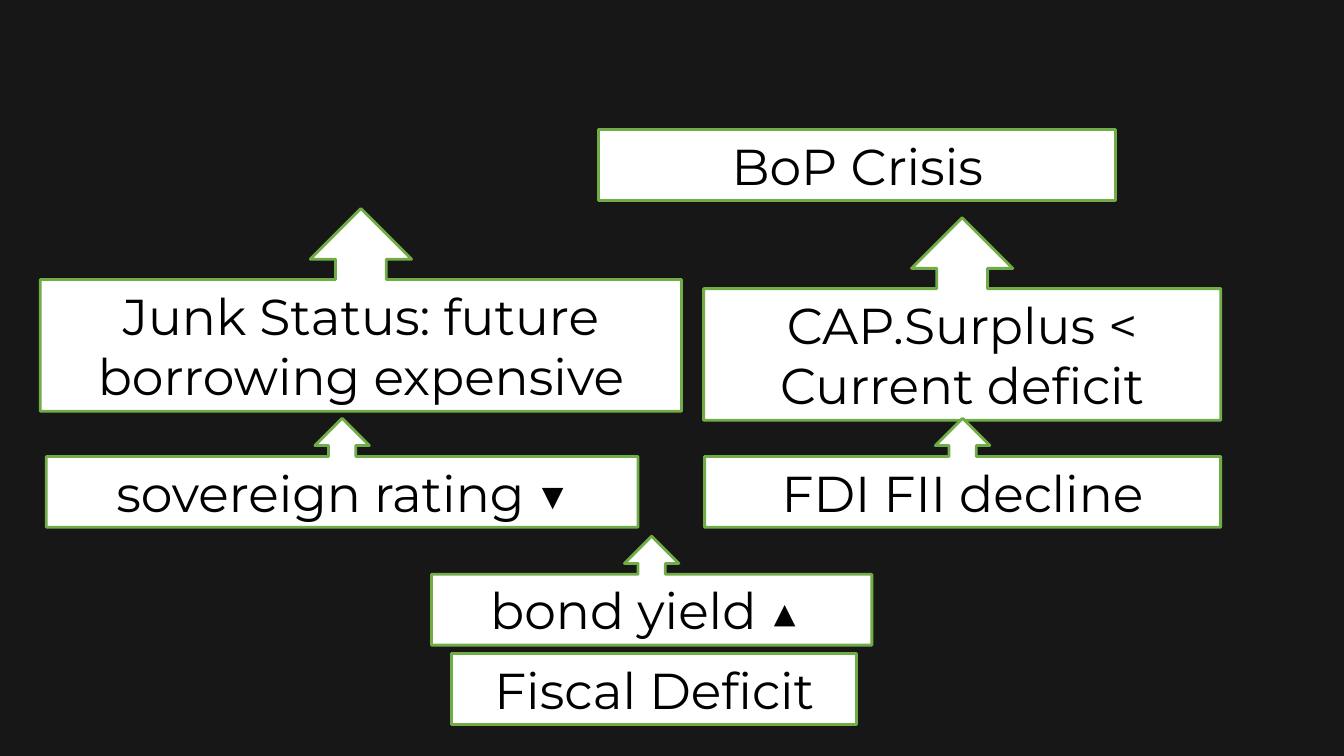
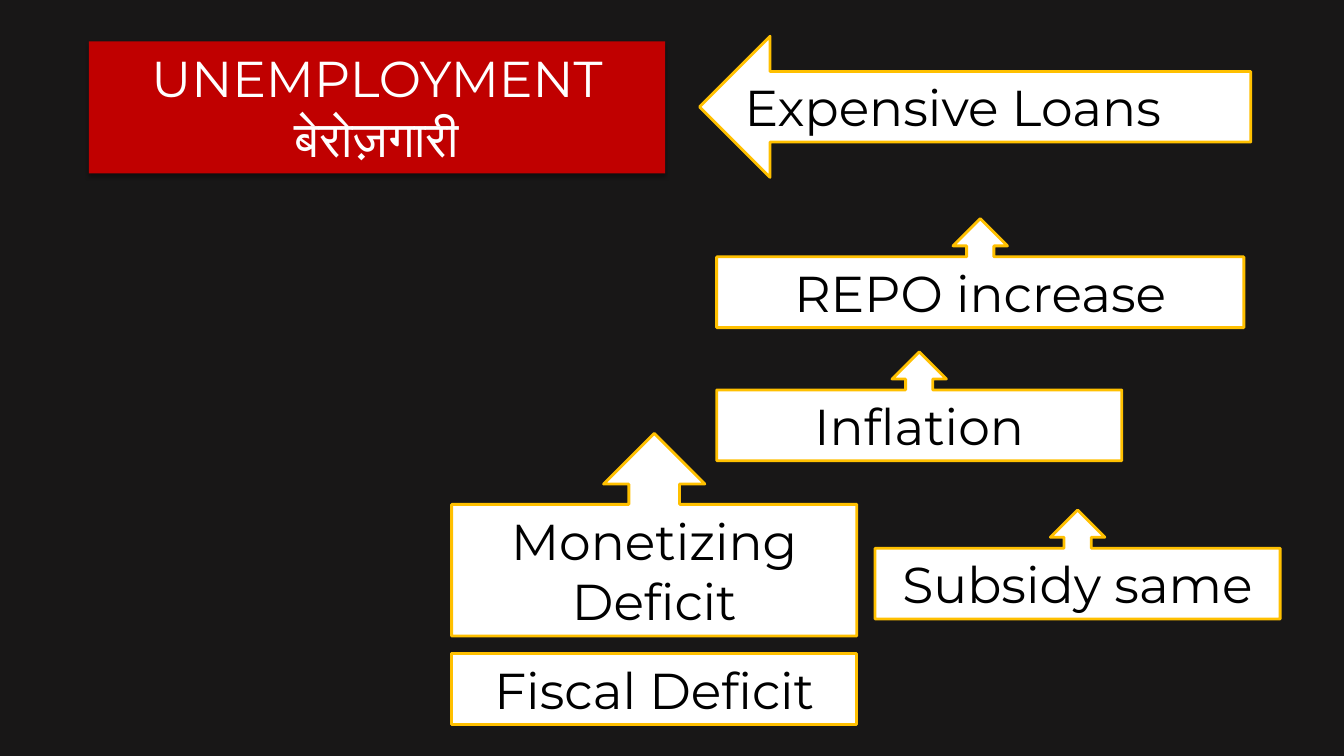
from dataclasses import dataclass

from lxml.etree import SubElement
from pptx import Presentation
from pptx.dml.color import RGBColor
from pptx.enum.shapes import MSO_SHAPE
from pptx.enum.text import MSO_ANCHOR, MSO_AUTO_SIZE, PP_ALIGN
from pptx.oxml.ns import qn
from pptx.shapes.autoshape import Shape
from pptx.util import Pt

COLORS = {
    "back": "181717",
    "white": "FFFFFF",
    "black": "000000",
    "green": "70AD47",
    "gold": "FFC000",
    "red": "C00000",
}
FONT = "Montserrat"
SIZE = 36
BAR, STEP, TALL = 51.1, 77.8, 144.7
BASE = 322.6
WIDTH = 289.4
RECT = MSO_SHAPE.RECTANGLE
CALL = MSO_SHAPE.UP_ARROW_CALLOUT
LEFT = MSO_SHAPE.LEFT_ARROW


@dataclass(frozen=True)
class Box:
    text: str
    left: float
    top: float
    width: float
    height: float
    form: MSO_SHAPE = CALL
    fill: str = "white"
    ink: str = "black"
    align: PP_ALIGN = PP_ALIGN.CENTER
    raised: bool = False


FISCAL = Box("Fiscal Deficit", BASE, 466.6, WIDTH, BAR, RECT)

CRISIS = [
    Box("CAP.Surplus < Current deficit", 502.6, 155.5, 369.4, TALL),
    FISCAL,
    Box("Junk Status: future borrowing expensive", 28.8, 149, 458, TALL),
    Box("FDI FII decline", 503.3, 298.8, 368.6, STEP),
    Box("sovereign rating ▼", 33.1, 298.8, 422.6, STEP),
    Box("bond yield ▲ ", 308.2, 383, 314.6, STEP),
    Box("BoP Crisis", 427.7, 92.2, 369.4, BAR, RECT),
]

JOBS = [
    FISCAL,
    Box("Subsidy same", 625, 364.3, WIDTH, STEP),
    Box("Inflation", 511.9, 251.3, WIDTH, STEP),
    Box("Monetizing Deficit", BASE, 309.6, WIDTH, TALL),
    Box("REPO increase", 511.9, 156.2, 376.6, STEP),
    Box("Expensive Loans", 499.7, 25.9, 393.8, 100.8, LEFT, align=PP_ALIGN.LEFT),
    Box("UNEMPLOYMENT\nबेरोज़गारी", 63.4, 29.5, 411.8, 94.3, RECT,
        "red", "white", raised=True),
]


def color(name: str) -> RGBColor:
    return RGBColor.from_string(COLORS[name])


def shade(shape: Shape) -> None:
    effects = shape._element.spPr.find(qn("a:effectLst"))
    outer = SubElement(effects, qn("a:outerShdw"), blurRad=str(Pt(3.1)),
                       dist=str(Pt(1.8)), dir="5400000", rotWithShape="0")
    tone = SubElement(outer, qn("a:srgbClr"), val=COLORS["black"])
    SubElement(tone, qn("a:alpha"), val="35000")


def write(shape: Shape, box: Box) -> None:
    frame = shape.text_frame
    frame.text = box.text
    frame.word_wrap = True
    frame.auto_size = MSO_AUTO_SIZE.SHAPE_TO_FIT_TEXT
    frame.vertical_anchor = MSO_ANCHOR.MIDDLE
    for para in frame.paragraphs:
        para.alignment = box.align
        for run in para.runs:
            run.font.name = FONT
            run.font.size = Pt(SIZE)
            run.font.color.rgb = color(box.ink)


def draw(slide, box: Box, edge: str) -> None:
    shape = slide.shapes.add_shape(
        box.form, Pt(box.left), Pt(box.top), Pt(box.width), Pt(box.height))
    shape.shadow.inherit = False
    shape.fill.solid()
    shape.fill.fore_color.rgb = color(box.fill)
    if box.raised:
        shape.line.fill.background()
        shade(shape)
    else:
        shape.line.color.rgb = color(edge)
        shape.line.width = Pt(2)
    write(shape, box)


def main() -> None:
    deck = Presentation()
    deck.slide_width, deck.slide_height = Pt(960), Pt(540)
    back = deck.slide_master.background.fill
    back.solid()
    back.fore_color.rgb = color("back")
    for boxes, edge in ((CRISIS, "green"), (JOBS, "gold")):
        slide = deck.slides.add_slide(deck.slide_layouts[6])
        for box in boxes:
            draw(slide, box, edge)
    deck.save("out.pptx")


if __name__ == "__main__":
    main()
